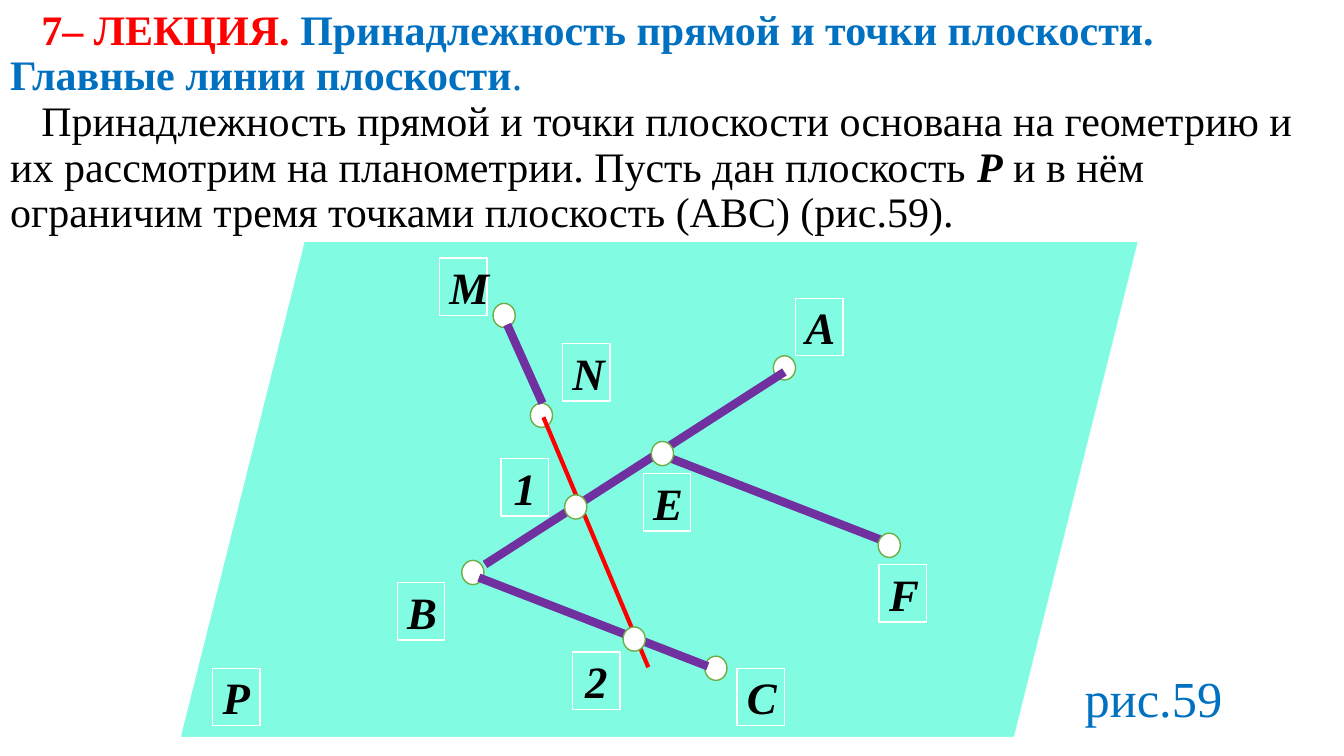
from dataclasses import dataclass

from lxml import etree
from pptx import Presentation
from pptx.dml.color import RGBColor
from pptx.enum.shapes import MSO_CONNECTOR, MSO_SHAPE
from pptx.enum.text import MSO_ANCHOR, MSO_AUTO_SIZE, PP_ALIGN
from pptx.oxml.ns import qn
from pptx.util import Inches, Pt

PARALLELOGRAM = MSO_SHAPE.PARALLELOGRAM
CIRCLE = MSO_SHAPE.FLOWCHART_CONNECTOR
RECTANGLE = MSO_SHAPE.RECTANGLE
STRAIGHT = MSO_CONNECTOR.STRAIGHT
LEFT, CENTER = PP_ALIGN.LEFT, PP_ALIGN.CENTER
TOP, MIDDLE = MSO_ANCHOR.TOP, MSO_ANCHOR.MIDDLE
NO_AUTOFIT = MSO_AUTO_SIZE.NONE

FONT = "Times New Roman"
WHITE, BLACK, RED, BLUE = "FFFFFF", "000000", "FF0000", "0070C0"
PLANE, PURPLE, GREEN = "81FBE1", "7030A0", "70AD47"
POINT_SIZE = (0.22, 0.24)
LABEL_SIZE = (0.47, 0.57)


@dataclass(frozen=True)
class Point:
    left: float
    top: float


@dataclass(frozen=True)
class Label:
    text: str
    left: float
    top: float


@dataclass(frozen=True)
class Segment:
    start: tuple[float, float]
    end: tuple[float, float]
    color: str = PURPLE
    width: float = 6


# Points M, N, A, B, C lie under the segments; 1, 2, E, F lie over them
LOWER_POINTS = [Point(4.89, 3.01), Point(5.26, 4), Point(7.67, 3.53),
                Point(4.58, 5.56), Point(6.99, 6.51)]
UPPER_POINTS = [Point(5.6, 4.91), Point(6.18, 6.22),
                Point(6.46, 4.38), Point(8.71, 5.29)]
LABELS = [
    Label("A", 7.89, 2.96), Label("B", 3.94, 5.78), Label("C", 7.31, 6.63),
    Label("M", 4.36, 2.56), Label("N", 5.58, 3.41), Label("1", 4.97, 4.55),
    Label("2", 5.68, 6.47), Label("E", 6.38, 4.7), Label("F", 8.72, 5.6),
    Label("P", 2.11, 6.63),
]
SEGMENTS = [
    Segment((7.78, 3.69), (4.81, 5.6)),
    Segment((4.75, 5.73), (7.02, 6.61)),
    Segment((5.03, 3.22), (5.38, 4)),
    Segment((5.39, 4.14), (6.43, 6.62), RED, 3),
    Segment((6.53, 4.5), (8.8, 5.38)),
]


def rgb(color: str) -> RGBColor:
    return RGBColor.from_string(color)


def add_text(paragraph, text: str, *, size: float, color: str = BLACK,
             bold: bool = False, italic: bool = False) -> None:
    run = paragraph.add_run()
    run.text = text
    font = run.font
    font.name, font.size = FONT, Pt(size)
    font.bold, font.italic = bold, italic
    font.color.rgb = rgb(color)


def add_figure(slide, kind, left: float, top: float, size: tuple[float, float],
               fill: str, line: str, line_width: float = 1):
    shape = slide.shapes.add_shape(kind, Inches(left), Inches(top),
                                   Inches(size[0]), Inches(size[1]))
    shape.shadow.inherit = False
    shape.fill.solid()
    shape.fill.fore_color.rgb = rgb(fill)
    shape.line.color.rgb = rgb(line)
    shape.line.width = Pt(line_width)
    return shape


def add_point(slide, point: Point) -> None:
    add_figure(slide, CIRCLE, point.left, point.top, POINT_SIZE, WHITE, GREEN)


def add_label(slide, label: Label) -> None:
    shape = add_figure(slide, RECTANGLE, label.left, label.top, LABEL_SIZE, PLANE, WHITE)
    shape.text_frame.vertical_anchor = MIDDLE
    paragraph = shape.text_frame.paragraphs[0]
    paragraph.alignment = CENTER
    add_text(paragraph, label.text, size=32, bold=True, italic=True)


def add_segment(slide, segment: Segment) -> None:
    x1, y1 = segment.start
    x2, y2 = segment.end
    connector = slide.shapes.add_connector(STRAIGHT, Inches(x1), Inches(y1),
                                           Inches(x2), Inches(y2))
    connector.line.color.rgb = rgb(segment.color)
    connector.line.width = Pt(segment.width)
    etree.SubElement(connector._element.spPr, qn("a:effectLst"))


def prepare_placeholder(slide, placeholder, top: float, height: float):
    """Put a white text band in front of the plane and return its paragraph."""
    placeholder.left, placeholder.top = Inches(0), Inches(top)
    placeholder.width, placeholder.height = Inches(13.13), Inches(height)
    placeholder.fill.solid()
    placeholder.fill.fore_color.rgb = rgb(WHITE)
    slide.shapes._spTree.append(placeholder._element)
    frame = placeholder.text_frame
    frame.word_wrap, frame.auto_size = True, NO_AUTOFIT
    frame.vertical_anchor = TOP
    paragraph = frame.paragraphs[0]
    paragraph.alignment = LEFT
    paragraph.line_spacing = Pt(32.5)
    paragraph.space_before = Pt(0)
    properties = paragraph._p.get_or_add_pPr()
    properties.set("marL", "0")
    properties.set("indent", str(Inches(0.31)))
    etree.SubElement(properties, qn("a:buNone"))
    return paragraph


def main() -> None:
    presentation = Presentation()
    presentation.slide_width = Inches(13.33)
    presentation.slide_height = Inches(7.5)
    slide = presentation.slides.add_slide(presentation.slide_layouts[1])

    # Plane with its points, labels and lines
    add_figure(slide, PARALLELOGRAM, 1.78, 2.14, (9.58, 5.18), PLANE, WHITE, 1.5)
    for point in LOWER_POINTS:
        add_point(slide, point)
    for label in LABELS:
        add_label(slide, label)
    for segment in SEGMENTS:
        add_segment(slide, segment)
    for point in UPPER_POINTS:
        add_point(slide, point)

    # Figure caption
    caption = slide.shapes.add_textbox(Inches(10.66), Inches(6.57),
                                       Inches(1.59), Inches(0.71))
    caption.text_frame.word_wrap = False
    add_text(caption.text_frame.paragraphs[0], "рис.59", size=36, color=BLUE)

    # Heading
    heading = prepare_placeholder(slide, slide.shapes.title, 0.03, 0.91)
    add_text(heading, "7– ЛЕКЦИЯ. ", size=30, color=RED, bold=True)
    add_text(heading, "Принадлежность прямой и точки плоскости. "
             "Главные линии плоскости", size=30, color=BLUE, bold=True)
    add_text(heading, ".", size=30, color=BLUE)

    # Introduction
    introduction = prepare_placeholder(slide, slide.placeholders[1], 0.94, 1.46)
    add_text(introduction, "Принадлежность прямой и точки плоскости основана на "
             "геометрию и их рассмотрим на планометрии. Пусть дан плоскость ", size=30)
    add_text(introduction, "Р", size=30, bold=True, italic=True)
    add_text(introduction, " и в нём ограничим тремя точками плоскость (АВС) (рис.59).",
             size=30)

    presentation.save("out.pptx")


if __name__ == "__main__":
    main()
